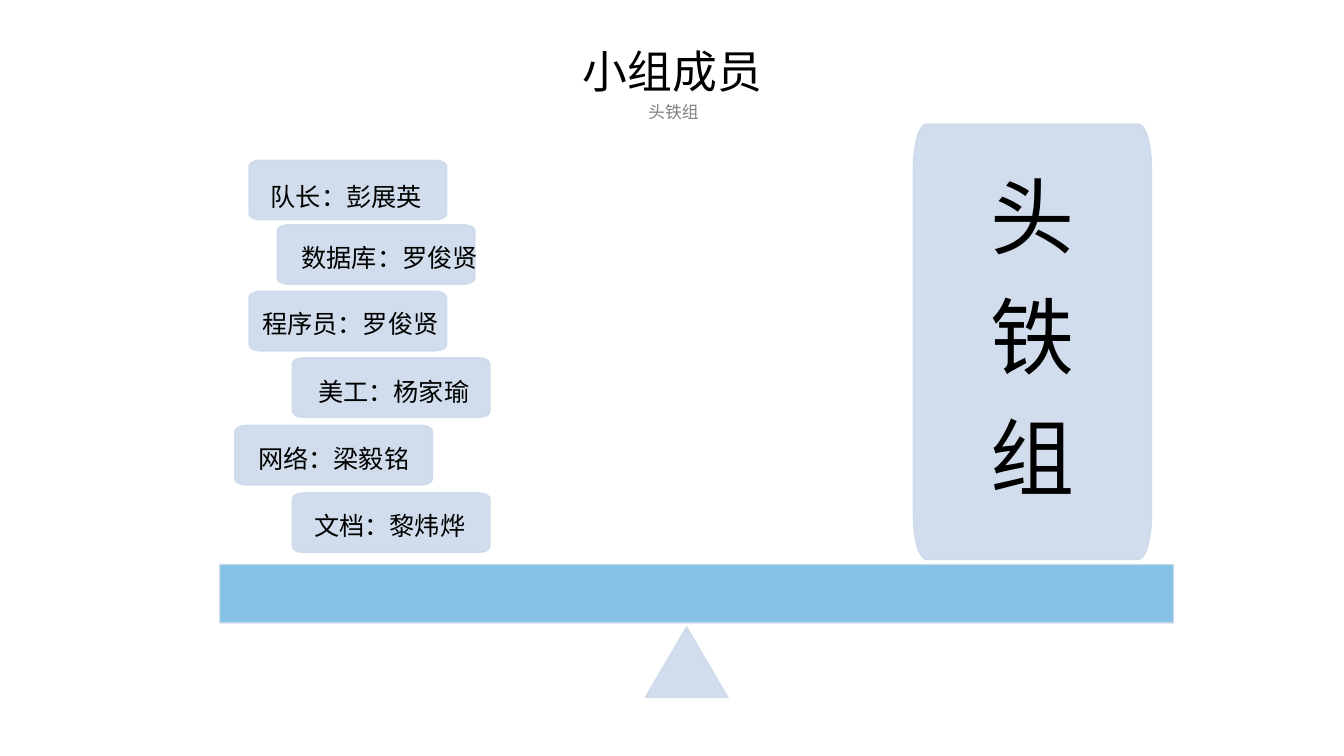
from lxml import etree
from pptx import Presentation
from pptx.dml.color import RGBColor
from pptx.enum import shapes as kinds, text as t
from pptx.oxml.ns import qn
from pptx.util import Inches, Pt

COLORS = {"pale": "CDDAEA", "beam": "78BCE3", "ink": "000000", "grey": "808080"}
TITLE, SUBTITLE = "小组成员", "头铁组"
TEAM_LETTERS = ["头", "铁", "组"]
# Role and name, card left and top, label left, top and width
MEMBERS = [
    ("队长：彭展英", (2.47, 1.59), (2.43, 1.69, 2.01)),
    ("数据库：罗俊贤", (2.75, 2.23), (2.86, 2.29, 2.01)),
    ("程序员：罗俊贤", (2.47, 2.89), (2.47, 2.95, 2.01)),
    ("美工：杨家瑜", (2.9, 3.55), (2.9, 3.62, 2.01)),
    ("网络：梁毅铭", (2.33, 4.22), (2.21, 4.29, 2.2)),
    ("文档：黎炜烨", (2.9, 4.89), (2.86, 4.95, 2.01)),
]
CARD_SIZE, CARD_RADII = (1.96, 0.59), (0.11, 0.06)
TEAM_BOX, TEAM_RADII = (9.06, 1.23, 2.36, 4.32), (0.13, 0.43)
LABEL_HEIGHT = 0.43
BULGE = 0.55  # how far a curve handle reaches towards the corner

prs = Presentation()
prs.slide_width, prs.slide_height = Inches(13.33), Inches(7.5)
slide = prs.slides.add_slide(prs.slide_layouts[6])


def paint(part, color):
    """Fill and outline a part, both at 90% opacity."""
    part.shadow.inherit = False
    part.fill.solid()
    part.fill.fore_color.rgb = RGBColor.from_string(COLORS[color])
    part.line.color.rgb = RGBColor.from_string(COLORS["pale"])
    part.line.width = Pt(1)
    for tint in part._element.spPr.iter(qn("a:srgbClr")):
        etree.SubElement(tint, qn("a:alpha"), val="90000")


def round_corners(box):
    """Turn every second edge of an octagon into a curve."""
    points = [(int(pt.get("x")), int(pt.get("y")))
              for pt in box._element.spPr.iter(qn("a:pt"))]
    edges = list(box._element.spPr.iter(qn("a:lnTo")))
    for i in range(0, 8, 2):
        start, end = points[i], points[i + 1]
        corner = (start[0], end[1]) if i % 4 == 0 else (end[0], start[1])
        curve = etree.Element(qn("a:cubicBezTo"))
        handles = [[round(a + BULGE * (c - a)) for a, c in zip(anchor, corner)]
                   for anchor in (start, end)]
        for x, y in (*handles, end):
            etree.SubElement(curve, qn("a:pt"), x=str(x), y=str(y))
        edges[i].getparent().replace(edges[i], curve)


def add_rounded(left, top, width, height, radii):
    """Draw a box whose corners are quarter ellipses."""
    rx, ry = radii
    right, bottom = left + width, top + height
    octagon = [(left, top + ry), (left + rx, top),
               (right - rx, top), (right, top + ry),
               (right, bottom - ry), (right - rx, bottom),
               (left + rx, bottom), (left, bottom - ry)]
    outline = [(Inches(x), Inches(y)) for x, y in octagon]
    builder = slide.shapes.build_freeform(*outline[0])
    builder.add_line_segments(outline[1:], close=True)
    box = builder.convert_to_shape()
    round_corners(box)
    paint(box, "pale")
    return box


def write(paragraph, words, size, font, color="ink", spacing=None):
    paragraph.alignment = t.PP_ALIGN.CENTER
    if spacing:
        paragraph.line_spacing = spacing
    run = paragraph.add_run()
    run.text = words
    run.font.size, run.font.name = Pt(size), font
    run.font.color.rgb = RGBColor.from_string(COLORS[color])


def add_label(box, words, size, font, color="ink", spacing=None, wrap=True):
    frame = slide.shapes.add_textbox(*map(Inches, box)).text_frame
    frame.word_wrap = wrap
    frame.auto_size = t.MSO_AUTO_SIZE.SHAPE_TO_FIT_TEXT
    write(frame.paragraphs[0], words, size, font, color, spacing)


# Member cards
for _, corner, _ in MEMBERS:
    add_rounded(*corner, *CARD_SIZE, CARD_RADII)

# Headings
add_label((5.67, 0.38, 2, 0.64), TITLE, 32, "Roboto Condensed", wrap=False)
add_label((2.75, 0.96, 7.86, 0.3), SUBTITLE, 12, "Roboto Condensed", "grey")

# Member labels
for member, _, place in MEMBERS:
    add_label((*place, LABEL_HEIGHT), member, 18, "Arial", spacing=1.2)

# Seesaw: pivot and beam
for preset, box, color in [
    (kinds.MSO_SHAPE.ISOSCELES_TRIANGLE, (6.4, 6.22, 0.82, 0.7), "pale"),
    (kinds.MSO_SHAPE.RECTANGLE, (2.18, 5.6, 9.46, 0.58), "beam"),
]:
    paint(slide.shapes.add_shape(preset, *map(Inches, box)), color)

# Team block with one letter per paragraph
team = add_rounded(*TEAM_BOX, TEAM_RADII).text_frame
team.word_wrap = True
team.vertical_anchor = t.MSO_ANCHOR.MIDDLE
team.margin_left = team.margin_right = Inches(0.17)
team.margin_top = team.margin_bottom = Inches(0.17)
for index, letter in enumerate(TEAM_LETTERS):
    paragraph = team.add_paragraph() if index else team.paragraphs[0]
    write(paragraph, letter, 60, "Arial", spacing=0.9)
    after = etree.SubElement(paragraph._p.get_or_add_pPr(), qn("a:spcAft"))
    etree.SubElement(after, qn("a:spcPct"), val="35000")

prs.save("out.pptx")
